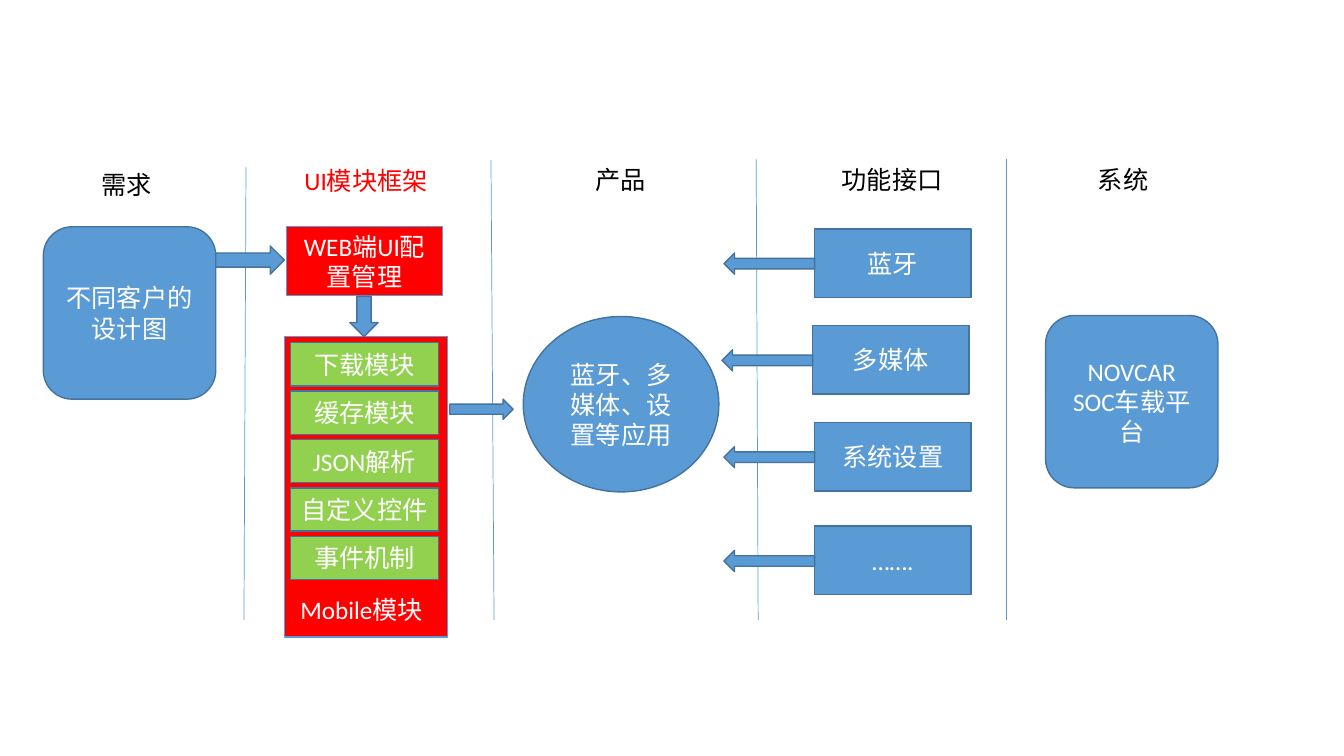
from lxml.etree import SubElement
from pptx import Presentation
from pptx.dml.color import RGBColor
from pptx.enum.shapes import MSO_CONNECTOR, MSO_SHAPE
from pptx.enum.text import MSO_ANCHOR, MSO_AUTO_SIZE, PP_ALIGN
from pptx.oxml.ns import qn
from pptx.util import Emu, Pt

PX = 9144  # 100 px to the inch
COLORS = {
    "blue": "5B9BD5",
    "outline": "43739E",
    "red": "FF0000",
    "green": "92D050",
    "white": "FFFFFF",
    "black": "000000",
}

presentation = Presentation()
presentation.slide_width = Emu(1333 * PX)
presentation.slide_height = Emu(750 * PX)
slide = presentation.slides.add_slide(presentation.slide_layouts[6])


def write(shape, text, color):
    shape.text_frame.text = text
    font = shape.text_frame.paragraphs[0].runs[0].font
    font.name = "Calibri"
    font.size = Pt(18)
    font.color.rgb = RGBColor.from_string(COLORS[color])


def add_block(kind, box, text="", fill="blue", line="outline", rotation=0):
    shape = slide.shapes.add_shape(kind, *[Emu(value * PX) for value in box])
    shape.shadow.inherit = False
    shape.rotation = rotation
    shape.fill.solid()
    shape.fill.fore_color.rgb = RGBColor.from_string(COLORS[fill])
    shape.line.color.rgb = RGBColor.from_string(COLORS[line])
    shape.line.width = Pt(1)
    if text:
        write(shape, text, "white")
        shape.text_frame.word_wrap = True
        shape.text_frame.vertical_anchor = MSO_ANCHOR.MIDDLE
        shape.text_frame.paragraphs[0].alignment = PP_ALIGN.CENTER


# Column dividers
for top_x, top, bottom_x in [(244, 166, 242), (487, 159, 490), (750, 158, 752), (998, 158, 998)]:
    divider = slide.shapes.add_connector(
        MSO_CONNECTOR.STRAIGHT, *[Emu(value * PX) for value in (top_x, top, bottom_x, 615)]
    )
    divider.line.color.rgb = RGBColor.from_string(COLORS["blue"])
    divider.line.width = Pt(0.5)
    SubElement(divider._element.spPr, qn("a:effectLst"))

# Requirements, product and system
add_block(MSO_SHAPE.ROUNDED_RECTANGLE, (43, 225, 171, 171), "不同客户的设计图")
add_block(MSO_SHAPE.OVAL, (519, 314, 194, 174), "蓝牙、多媒体、设置等应用")
add_block(MSO_SHAPE.ROUNDED_RECTANGLE, (1037, 313, 171, 171), "NOVCAR SOC车载平台")

# UI module framework
add_block(MSO_SHAPE.RECTANGLE, (284, 225, 155, 68), "WEB端UI配置管理", "red", "blue")
add_block(MSO_SHAPE.RECTANGLE, (282, 334, 162, 298), fill="red", line="blue")
modules = ["下载模块", "缓存模块", "JSON解析", "自定义控件", "事件机制"]
for index, module in enumerate(modules):
    add_block(MSO_SHAPE.RECTANGLE, (288, 340 + 48 * index, 147, 43), module, "green")

# Function interfaces, each with an arrow towards the product
interfaces = [("蓝牙", 808, 227), ("多媒体", 806, 323), ("系统设置", 808, 419), ("…….", 808, 522)]
for interface, left, top in interfaces:
    add_block(MSO_SHAPE.RECTANGLE, (left, top, 155, 68), interface)
    add_block(MSO_SHAPE.RIGHT_ARROW, (left - 90, top + 24, 90, 21), rotation=180)

# Flow from requirements to product
add_block(MSO_SHAPE.RIGHT_ARROW, (214, 244, 68, 28))
add_block(MSO_SHAPE.RIGHT_ARROW, (341, 300, 40, 28), rotation=90)
add_block(MSO_SHAPE.RIGHT_ARROW, (446, 396, 63, 20))

# Column headings and the module frame's label
labels = [
    ("需求", 91, 163, 71, "black"),
    ("UI模块框架", 292, 159, 159, "red"),
    ("产品", 581, 158, 70, "black"),
    ("功能接口", 825, 158, 121, "black"),
    ("系统", 1079, 158, 88, "black"),
    ("Mobile模块", 288, 585, 159, "white"),
]
for text, left, top, width, color in labels:
    label = slide.shapes.add_textbox(*[Emu(value * PX) for value in (left, top, width, 40)])
    write(label, text, color)
    label.text_frame.word_wrap = text != "功能接口"
    label.text_frame.auto_size = MSO_AUTO_SIZE.SHAPE_TO_FIT_TEXT

presentation.save("out.pptx")
